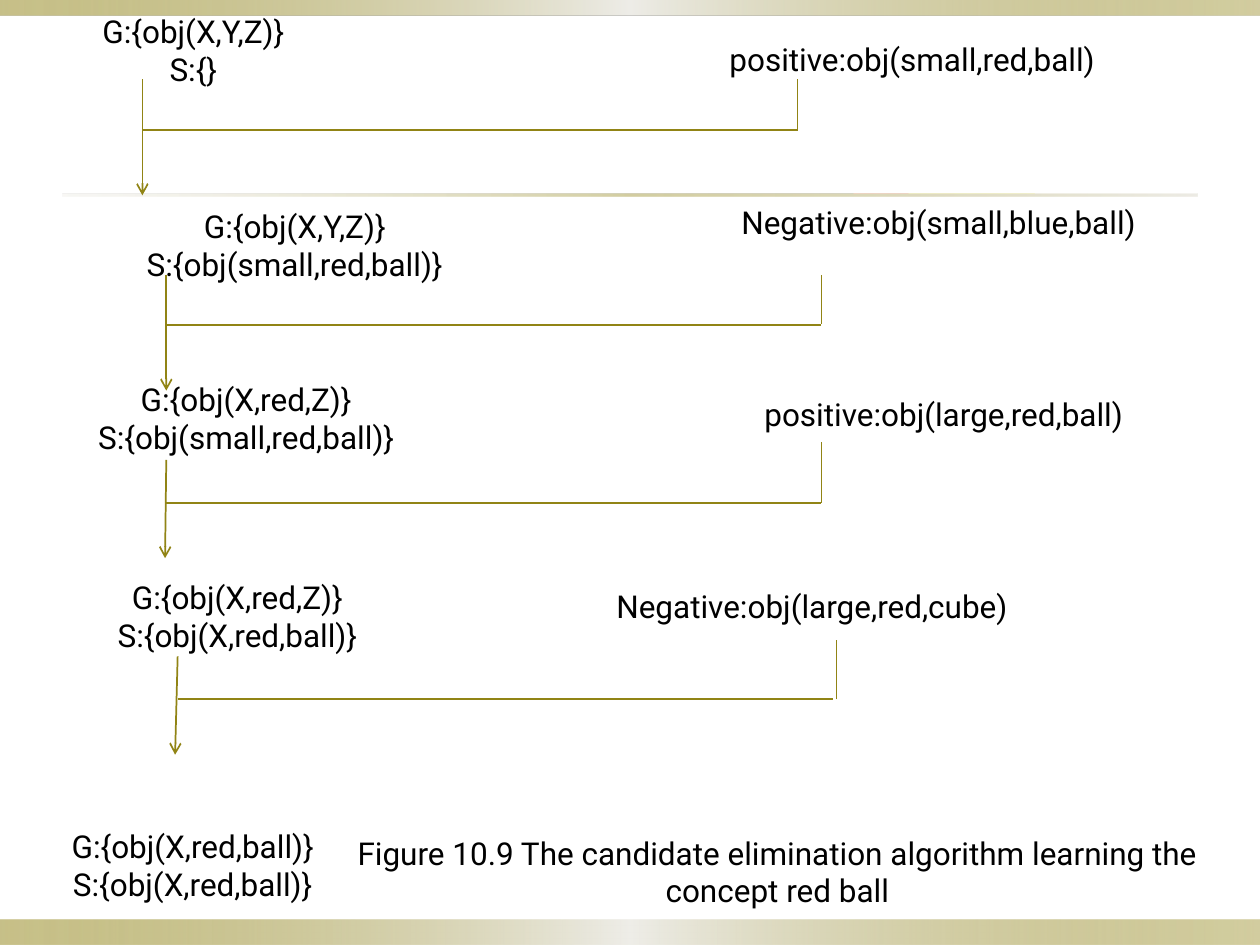
from dataclasses import dataclass

from lxml import etree
from pptx import Presentation
from pptx.dml.color import RGBColor
from pptx.enum import shapes, text
from pptx.oxml.ns import qn
from pptx.util import Inches, Pt

COLORS = {"olive": "918415", "silver": "EEEDE8", "sand": "DCD9CC", "ink": "000000"}
FONT = {"name": "Roboto", "size": Pt(18)}
FRAME = {"word_wrap": True, "vertical_anchor": text.MSO_ANCHOR.MIDDLE}
ELBOW_WIDTH = 5.2

Box = tuple[float, float, float, float]
Point = tuple[float, float]
Stop = tuple[int, str, int]  # position %, colour, opacity %


@dataclass
class Label:
    lines: list[str]
    box: Box


@dataclass
class Step:
    version_space: Label
    example: Label
    arrow: tuple[Point, Point]
    join_y: float      # height at which the example joins the arrow
    drop: tuple[Point, Point]
    grouped: bool = True


BAND: list[Stop] = [(0, "olive", 50), (50, "silver", 100), (100, "olive", 40)]
RULE: list[Stop] = [(0, "sand", 20), (50, "olive", 40), (100, "sand", 50)]
BARS = [((0, 7.3, 10, 0.2), BAND), ((0, 0, 10, 0.12), BAND), ((0.5, 1.54, 9, 0.02), RULE)]

STEPS = [
    Step(Label(["G:{obj(X,Y,Z)}", "S:{}"], (0.51, 0.23, 2.05, 0.33)),
         Label(["positive:obj(small,red,ball)"], (5.34, 0.23, 3.8, 0.47)),
         ((1.13, 0.63), (1.13, 1.55)), 1.03, ((6.33, 1.03), (6.33, 0.63))),
    Step(Label(["G:{obj(X,Y,Z)}", "S:{obj(small,red,ball)}"], (0.5, 1.78, 3.68, 0.33)),
         Label(["Negative:obj(small,blue,ball)"], (5.53, 1.57, 3.84, 0.38)),
         ((1.32, 2.18), (1.32, 3.1)), 2.58, ((6.52, 2.57), (6.52, 2.18))),
    Step(Label(["G:{obj(X,red,Z)}", "S:{obj(small,red,ball)}"], (-0.23, 3.12, 4.37, 0.4)),
         Label(["positive:obj(large,red,ball)"], (5.53, 3.05, 3.92, 0.47)),
         ((1.32, 3.65), (1.31, 4.43)), 3.99, ((6.52, 3.99), (6.52, 3.51))),
    Step(Label(["G:{obj(X,red,Z)}", "S:{obj(X,red,ball)}"], (-0.3, 4.69, 4.37, 0.4)),
         Label(["Negative:obj(large,red,cube)"], (4.53, 4.62, 3.83, 0.38)),
         ((1.41, 5.21), (1.39, 5.99)), 5.55, ((6.64, 5.55), (6.64, 5.08)), grouped=False),
]
RESULT = Label(["G:{obj(X,red,ball)}", "S:{obj(X,red,ball)}"], (-0.31, 6.7, 3.68, 0.33))
CAPTION = Label(["Figure 10.9 The candidate elimination algorithm learning the concept red ball"],
                (2.73, 6.64, 6.88, 0.55))


def add_bar(canvas, box: Box, stops: list[Stop]) -> None:
    bar = canvas.add_shape(shapes.MSO_SHAPE.RECTANGLE, *map(Inches, box))
    bar.shadow.inherit = False
    bar.line.fill.background()
    bar.fill.gradient()
    bar.fill.gradient_angle = 0
    # Three translucent stops need XML
    stop_list = bar._element.spPr.find(f".//{qn('a:gsLst')}")
    for old_stop in list(stop_list):
        stop_list.remove(old_stop)
    for position, color, opacity in stops:
        stop = etree.SubElement(stop_list, qn("a:gs"), pos=str(position * 1000))
        tint = etree.SubElement(stop, qn("a:srgbClr"), val=COLORS[color])
        if opacity < 100:
            etree.SubElement(tint, qn("a:alpha"), val=str(opacity * 1000))


def add_label(canvas, label: Label) -> None:
    frame = canvas.add_textbox(*map(Inches, label.box)).text_frame
    for attribute, value in FRAME.items():
        setattr(frame, attribute, value)
    frame.text = "\n".join(label.lines)
    for paragraph in frame.paragraphs:
        paragraph.alignment = text.PP_ALIGN.CENTER
        for run in paragraph.runs:
            for attribute, value in FONT.items():
                setattr(run.font, attribute, value)
            run.font.color.rgb = RGBColor.from_string(COLORS["ink"])


def add_link(canvas, start: Point, end: Point,
             kind=shapes.MSO_CONNECTOR.STRAIGHT, arrow: bool = False) -> None:
    link = canvas.add_connector(kind, *map(Inches, (*start, *end)))
    link.line.width = Pt(1)
    link.line.color.rgb = RGBColor.from_string(COLORS["olive"])
    if arrow:
        etree.SubElement(link.line._get_or_add_ln(), qn("a:tailEnd"), type="arrow")
    etree.SubElement(link._element.spPr, qn("a:effectLst"))


def add_step(canvas, step: Step) -> None:
    if step.grouped:
        canvas = canvas.add_group_shape().shapes
    left = step.arrow[0][0]
    add_link(canvas, *step.arrow, arrow=True)
    add_link(canvas, (left, step.join_y), (left + ELBOW_WIDTH, step.join_y),
             shapes.MSO_CONNECTOR.ELBOW)
    add_link(canvas, *step.drop)
    add_label(canvas, step.version_space)
    add_label(canvas, step.example)


def main() -> None:
    deck = Presentation()
    deck.slide_width, deck.slide_height = Inches(10), Inches(7.5)
    canvas = deck.slides.add_slide(deck.slide_layouts[6]).shapes

    # Decorative bands and rule
    for box, stops in BARS:
        add_bar(canvas, box, stops)

    # Learning steps, final version space and caption
    for step in STEPS:
        add_step(canvas, step)
    for label in (CAPTION, RESULT):
        add_label(canvas, label)

    deck.save("out.pptx")


if __name__ == "__main__":
    main()
